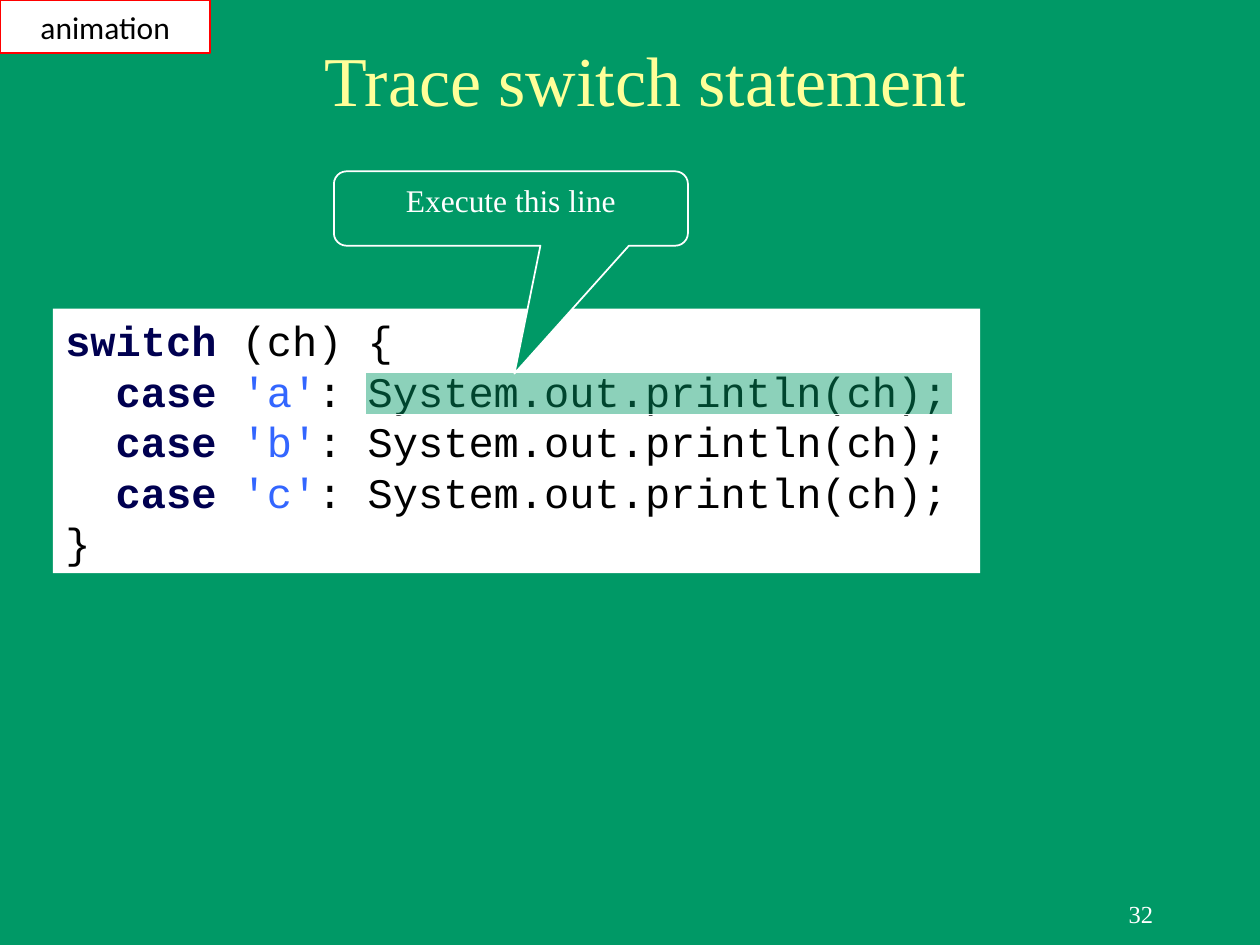
from pptx import Presentation
from pptx.dml.color import RGBColor
from pptx.enum.shapes import MSO_SHAPE
from pptx.enum.text import MSO_ANCHOR, MSO_AUTO_SIZE, PP_ALIGN
from pptx.oxml.ns import qn
from pptx.util import Inches, Pt
from lxml.etree import SubElement

GREEN = RGBColor(0x00, 0x99, 0x66)
WHITE = RGBColor(0xFF, 0xFF, 0xFF)
BLACK = RGBColor(0x00, 0x00, 0x00)
YELLOW = RGBColor(0xFF, 0xFF, 0x99)
NAVY = RGBColor(0x00, 0x00, 0x50)
BLUE = RGBColor(0x33, 0x66, 0xFF)
RED = RGBColor(0xFF, 0x00, 0x00)

SERIF = "Times New Roman"
KEYWORD = {"color": NAVY, "bold": True}
LITERAL = {"color": BLUE, "bold": False}
PLAIN = {"color": BLACK, "bold": False}


def add_span(para, text, color, **formats):
    """Append a formatted run to a paragraph."""
    span = para.add_run()
    span.text = text
    span.font.color.rgb = color
    for name, value in formats.items():
        setattr(span.font, name, value)


def format_frame(box, **formats):
    """Apply format values to a box's text frame and return its first paragraph."""
    frame = box.text_frame
    for name, value in formats.items():
        setattr(frame, name, value)
    return frame.paragraphs[0]


def add_panel(page, kind, bounds, fill, line=None):
    """Add a shape without shadow, with the given fill and optional outline."""
    box = page.shapes.add_shape(kind, *map(Inches, bounds))
    box.shadow.inherit = False
    box.fill.solid()
    box.fill.fore_color.rgb = fill
    if line is None:
        box.line.fill.background()
    else:
        box.line.color.rgb = line
        box.line.width = Pt(1)
    return box


def add_page_number(page, bounds, number):
    """Add the right-aligned page number."""
    box = page.shapes.add_textbox(*map(Inches, bounds))
    para = format_frame(box, word_wrap=False, vertical_anchor=MSO_ANCHOR.MIDDLE)
    para.alignment = PP_ALIGN.RIGHT
    add_span(para, number, WHITE, size=Pt(14), name=SERIF)


def place_title(page, bounds, text):
    """Move and format the title placeholder."""
    title = page.shapes.title
    for name, value in zip(("left", "top", "width", "height"), bounds):
        setattr(title, name, Inches(value))
    para = format_frame(title, auto_size=MSO_AUTO_SIZE.NONE, word_wrap=True,
                        vertical_anchor=MSO_ANCHOR.MIDDLE)
    para.alignment = PP_ALIGN.CENTER
    add_span(para, text, YELLOW, size=Pt(40), name=SERIF)


def add_code(page, bounds):
    """Add the code panel with its coloured switch statement."""
    box = add_panel(page, MSO_SHAPE.RECTANGLE, bounds, WHITE)
    cases = [
        [("case ", KEYWORD), (f"'{letter}'", LITERAL),
         (": System.out.println(ch);", PLAIN)]
        for letter in "abc"
    ]
    lines = [[("switch", KEYWORD), (" (ch) {", PLAIN)], *cases, [("}", PLAIN)]]
    para = format_frame(box, word_wrap=True, vertical_anchor=MSO_ANCHOR.TOP)
    for index, line in enumerate(lines):
        if index:
            para = box.text_frame.add_paragraph()
        para.alignment = PP_ALIGN.LEFT
        para.line_spacing = Pt(28.8)
        if line in cases:
            para._p.get_or_add_pPr().set("marL", str(Inches(0.4)))
        for text, style in line:
            add_span(para, text, size=Pt(24), name="Courier New", **style)


def add_highlight(page, bounds):
    """Add the translucent bar over the executed statement."""
    bar = add_panel(page, MSO_SHAPE.RECTANGLE, bounds, GREEN, WHITE)
    color = bar.fill._xPr.find(qn("a:solidFill"))[0]
    SubElement(color, qn("a:alpha")).set("val", "45000")


def add_callout(page, bounds, text):
    """Add the callout that points at the highlighted statement."""
    box = add_panel(page, MSO_SHAPE.ROUNDED_RECTANGULAR_CALLOUT, bounds, GREEN, WHITE)
    for index, value in enumerate((0.01, 2.22, 0.17)):
        box.adjustments[index] = value
    para = format_frame(box, word_wrap=True, vertical_anchor=MSO_ANCHOR.TOP)
    para.alignment = PP_ALIGN.CENTER
    add_span(para, text, WHITE, size=Pt(18), name=SERIF)


def add_tag(page, bounds, text):
    """Add the red-outlined corner tag."""
    box = add_panel(page, MSO_SHAPE.RECTANGLE, bounds, WHITE, RED)
    para = format_frame(box, word_wrap=False, vertical_anchor=MSO_ANCHOR.MIDDLE)
    para.alignment = PP_ALIGN.CENTER
    add_span(para, text, BLACK, size=Pt(18), name="Calibri")


def main():
    """Build and save the deck."""
    deck = Presentation()
    deck.slide_width, deck.slide_height = Inches(10), Inches(7.5)
    page = deck.slides.add_slide(deck.slide_layouts[5])
    page.background.fill.solid()
    page.background.fill.fore_color.rgb = GREEN
    add_page_number(page, (7.17, 7, 2.08, 0.5), "32")
    place_title(page, (0.75, 0.35, 8.75, 0.55), "Trace switch statement")
    add_code(page, (0.42, 2.45, 7.36, 2.1))
    add_highlight(page, (2.9, 2.95, 4.66, 0.34))
    add_callout(page, (2.65, 1.36, 2.81, 0.59), "Execute this line")
    add_tag(page, (0, 0, 1.67, 0.42), "animation")
    deck.save("out.pptx")


if __name__ == "__main__":
    main()
